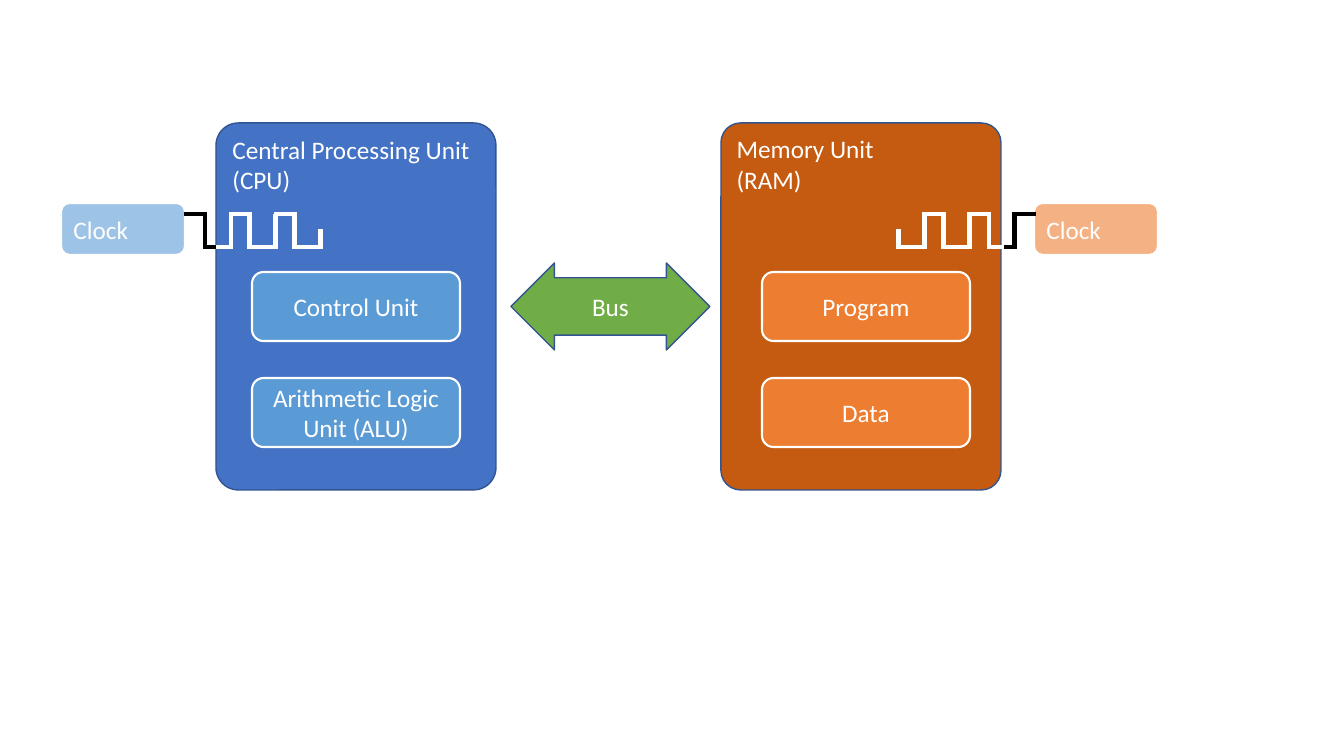
import pptx
import pptx.util
import pptx.dml.color
import pptx.enum.shapes
import pptx.enum.text
import lxml.etree

PX = 914400 / 100.8
RGB = pptx.dml.color.RGBColor
KIND = pptx.enum.shapes.MSO_SHAPE
ANCHOR = pptx.enum.text.MSO_ANCHOR
ALIGN = pptx.enum.text.PP_ALIGN

WHITE = RGB(0xFF, 0xFF, 0xFF)
BLACK = RGB(0x00, 0x00, 0x00)
EDGE = RGB(0x32, 0x54, 0x91)
BLUE = RGB(0x44, 0x72, 0xC4)
SKY = RGB(0x5B, 0x9B, 0xD5)
PALE = RGB(0x9D, 0xC3, 0xE6)
RUST = RGB(0xC5, 0x5A, 0x11)
ORANGE = RGB(0xED, 0x7D, 0x31)
PEACH = RGB(0xF4, 0xB1, 0x83)
GREEN = RGB(0x70, 0xAD, 0x47)

STEP = 45  # px between clock pulses
HIGH = 33  # px from low to high signal


def px(n):
    return round(n * PX)


def block(shapes, box, text, fill, edge=WHITE, width=1.5, kind=KIND.ROUNDED_RECTANGLE,
          adjust=(), anchor=ANCHOR.MIDDLE, align=ALIGN.CENTER):
    """Add a filled shape with a white label."""
    shape = shapes.add_shape(kind, *map(px, box))
    shape.shadow.inherit = False
    for i, value in enumerate(adjust):
        shape.adjustments[i] = value
    shape.fill.solid()
    shape.fill.fore_color.rgb = fill
    shape.line.color.rgb = edge
    shape.line.width = pptx.util.Pt(width)
    frame = shape.text_frame
    frame.word_wrap = True
    frame.vertical_anchor = anchor
    frame.text = text
    para = frame.paragraphs[0]
    para.alignment = align
    para.font.name = "Calibri"
    para.font.size = pptx.util.Pt(18)
    para.font.color.rgb = WHITE


def trace(shapes, points, color):
    """Add an open line with sharp corners."""
    build = shapes.build_freeform(*points[0], scale=PX)
    build.add_line_segments(points[1:], close=False)
    shape = build.convert_to_shape()
    shape.shadow.inherit = False
    shape.fill.background()
    shape.line.color.rgb = color
    shape.line.width = pptx.util.Pt(3.5)
    line = shape.line._get_or_add_ln()
    miter = lxml.etree.SubElement(line, pptx.oxml.ns.qn("a:miter"))
    miter.set("lim", "800000")


def wave(shapes, left, top, way):
    """Draw the clock signal from left, running right (way 1) or left (way -1)."""
    def place(points):
        return [(left + way * x, top + y) for x, y in points]

    for i, (color, end) in enumerate([(BLACK, 0), (WHITE, 0), (WHITE, 15)]):
        x = i * STEP
        trace(shapes, place([(x, 0), (x + 21, 0), (x + 21, HIGH),
                             (x + 47, HIGH), (x + 47, end)]), color)
    trace(shapes, place([(32, HIGH), (47, HIGH), (47, 0)]), WHITE)


def unit(shapes, box, title, fill, bend, parts, tint, inset):
    """Draw a unit with its title and its stacked parts."""
    left, top, wide, high = box
    block(shapes, box, title, fill, EDGE, 1, adjust=[bend],
          anchor=ANCHOR.TOP, align=ALIGN.LEFT)
    for i, part in enumerate(parts):
        block(shapes, (left + inset, top + 149 + i * 106, 208, 69), part, tint)


def clock(shapes, box, fill, way):
    left, top, wide, high = box
    block(shapes, box, "Clock", fill, align=ALIGN.LEFT)
    start = left + wide - 1 if way > 0 else left + 2
    wave(shapes, start, top + 11, way)


def main():
    deck = pptx.Presentation()
    deck.slide_width, deck.slide_height = px(1344), px(756)
    slide = deck.slides.add_slide(deck.slide_layouts[6])
    shapes = slide.shapes.add_group_shape().shapes
    unit(shapes, (216, 123, 280, 367), "Central Processing Unit (CPU)", BLUE, 0.08,
         ["Control Unit", "Arithmetic Logic Unit (ALU)"], SKY, 36)
    unit(shapes, (721, 123, 280, 367), "Memory Unit\v(RAM)", RUST, 0.07,
         ["Program", "Data"], ORANGE, 41)
    block(shapes, (511, 263, 199, 87), "Bus", GREEN, EDGE, 1,
          KIND.LEFT_RIGHT_ARROW, [0.66, 0.5])
    clock(shapes, (61, 203, 124, 52), PALE, 1)
    clock(shapes, (1034, 203, 124, 52), PEACH, -1)
    deck.save("out.pptx")


if __name__ == "__main__":
    main()
